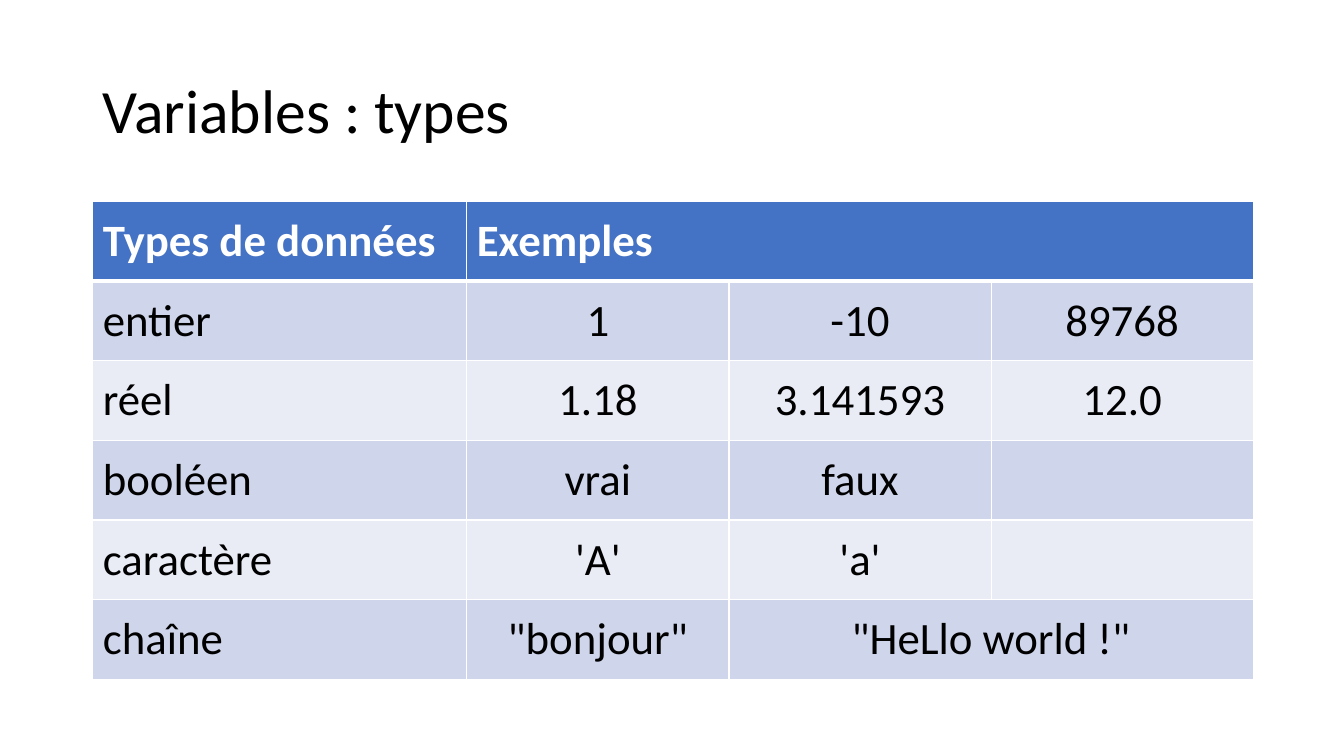
from lxml.etree import SubElement
from pptx import Presentation
from pptx.dml.color import RGBColor
from pptx.enum.text import MSO_ANCHOR as Anchor, PP_ALIGN as Align
from pptx.oxml.ns import qn
from pptx.util import Inches, Pt

FONT = "Calibri"
BLACK = RGBColor(0x00, 0x00, 0x00)
WHITE = RGBColor(0xFF, 0xFF, 0xFF)
HEADER_BLUE = RGBColor(0x44, 0x72, 0xC4)
BANDS = (RGBColor(0xCF, 0xD5, 0xEA), RGBColor(0xE9, 0xEB, 0xF5))

LEFT, WIDTH = Inches(0.92), Inches(11.5)
COLUMN_WIDTHS = (3.71, 2.6, 2.6, 2.6)
ROW_HEIGHT = Inches(0.79)
TYPES = (
    ("Types de données", "Exemples", "", ""),
    ("entier", "1", "-10", "89768"),
    ("réel", "1.18", "3.141593", "12.0"),
    ("booléen", "vrai", "faux", ""),
    ("caractère", "'A'", "'a'", ""),
    ("chaîne", '"bonjour"', '"HeLlo world !"', ""),
)
MERGES = (((0, 1), (0, 3)), ((5, 2), (5, 3)))


def write(paragraph, text, size, color, bold=False, align=Align.LEFT):
    """Add one formatted run to a paragraph."""
    paragraph.alignment = align
    run = paragraph.add_run()
    run.text = text
    run.font.name = FONT
    run.font.size = Pt(size)
    run.font.bold = bold
    run.font.color.rgb = color


def add_title(slide, text):
    """Place and fill the title placeholder."""
    title = slide.shapes.title
    title.left, title.top = LEFT, Inches(0.4)
    title.width, title.height = WIDTH, Inches(1.45)
    frame = title.text_frame
    frame.word_wrap = True
    frame.vertical_anchor = Anchor.MIDDLE
    frame.paragraphs[0].line_spacing = 0.9
    write(frame.paragraphs[0], text, 44, BLACK)


def set_borders(cell, top, bottom):
    """Give a cell white borders, with top and bottom widths in points."""
    properties = cell._tc.get_or_add_tcPr()
    for side, width in (("L", 1), ("R", 1), ("T", top), ("B", bottom)):
        line = SubElement(properties, qn(f"a:ln{side}"), w=str(Pt(width)))
        fill = SubElement(line, qn("a:solidFill"))
        SubElement(fill, qn("a:srgbClr"), val=str(WHITE))


def format_cell(cell, text, row, column):
    """Style a cell by its place in the table and write its text."""
    is_header = row == 0
    set_borders(cell, 3 if row == 1 else 1, 3 if is_header else 1)
    cell.fill.solid()
    cell.fill.fore_color.rgb = HEADER_BLUE if is_header else BANDS[(row - 1) % 2]
    cell.vertical_anchor = Anchor.MIDDLE
    if text:
        align = Align.LEFT if is_header or column == 0 else Align.CENTER
        color = WHITE if is_header else BLACK
        write(cell.text_frame.paragraphs[0], text, 32, color, is_header, align)


def add_types_table(slide):
    """Add the table of data types and their examples."""
    frame = slide.shapes.add_table(
        len(TYPES), len(COLUMN_WIDTHS), LEFT, Inches(2), WIDTH, ROW_HEIGHT * len(TYPES)
    )
    table = frame.table
    for column, width in zip(table.columns, COLUMN_WIDTHS):
        column.width = Inches(width)
    for row, texts in enumerate(TYPES):
        table.rows[row].height = ROW_HEIGHT
        for column, text in enumerate(texts):
            format_cell(table.cell(row, column), text, row, column)
    for first, last in MERGES:
        table.cell(*first).merge(table.cell(*last))


def main():
    """Build the slide and save it."""
    deck = Presentation()
    deck.slide_width, deck.slide_height = Inches(13.33), Inches(7.5)
    slide = deck.slides.add_slide(deck.slide_layouts[5])
    add_title(slide, "Variables : types")
    add_types_table(slide)
    deck.save("out.pptx")


if __name__ == "__main__":
    main()
